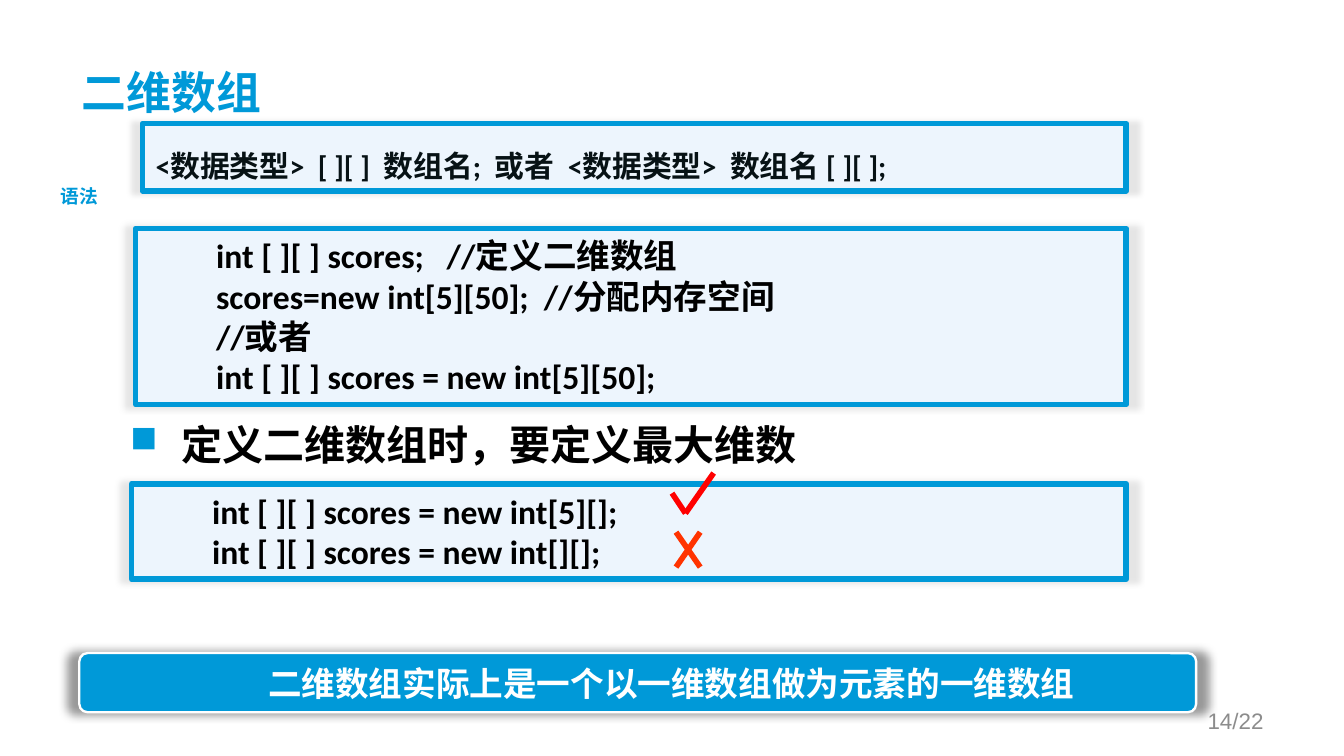
from lxml import etree
from pptx import Presentation
from pptx.dml.color import RGBColor
from pptx.enum.shapes import MSO_CONNECTOR, MSO_SHAPE
from pptx.enum.text import MSO_ANCHOR as ANCHOR, PP_ALIGN as ALIGN
from pptx.oxml import parse_xml
from pptx.oxml.ns import nsdecls, qn
from pptx.util import Inches, Pt

BLUE, PALE, BLACK, WHITE = "0099D8", "EDF5FD", "000000", "FFFFFF"
CJK = "Noto Sans CJK SC"


def color(value):
    return RGBColor.from_string(value)


def write(shape, lines, size, ink, face="Calibri", bold=True, margin=0, indent=0,
          align=ALIGN.LEFT, anchor=ANCHOR.TOP, spacing=None, bullet=None):
    """Fill a shape with paragraphs that share one format; bullet is a Wingdings character."""
    frame = shape.text_frame
    frame.word_wrap = True
    frame.vertical_anchor = anchor
    frame.text = "\n".join(lines)
    for paragraph in frame.paragraphs:
        paragraph.alignment = align
        if spacing:
            paragraph.line_spacing = spacing
        props = paragraph._p.get_or_add_pPr()
        props.set("marL", str(Inches(margin)))
        props.set("indent", str(Inches(indent)))
        if bullet:
            tint = etree.SubElement(props, qn("a:buClr"))
            etree.SubElement(tint, qn("a:srgbClr"), val=BLUE)
            etree.SubElement(props, qn("a:buSzPct"), val="90000")
            etree.SubElement(props, qn("a:buFont"), typeface="Wingdings", charset="2")
            etree.SubElement(props, qn("a:buChar"), char=bullet)
        for run in paragraph.runs:
            font = run.font
            font.size, font.bold, font.name = Pt(size), bold, face
            font.color.rgb = color(ink)
            if face == CJK:
                etree.SubElement(run._r.get_or_add_rPr(), qn("a:ea"), typeface=CJK)


prs = Presentation()
prs.slide_width = Inches(10)
prs.slide_height = prs.slide_width * 9 // 16
shapes = prs.slides.add_slide(prs.slide_layouts[6]).shapes

# Panels: place, corner, fill, outline, outline width, shadow opacity and blur, text, format
code = dict(size=18, ink=BLACK, margin=0.5)
panels = [
    ((1.06, 0.92, 7.32, 0.5), 0, PALE, BLUE, 3, 10, 3,
     ["<数据类型>  [ ][ ]  数组名;  或者  <数据类型>  数组名 [ ][ ];"],
     dict(size=16, ink="071215", spacing=1.5)),
    ((1.01, 1.7, 7.37, 1.31), 0, PALE, BLUE, 3, 10, 3,
     ["int [ ][ ] scores;   //定义二维数组",
      "scores=new int[5][50];  //分配内存空间",
      "//或者",
      "int [ ][ ] scores = new int[5][50];"], code),
    ((0.59, 4.86, 8.31, 0.44), 0.14, BLUE, WHITE, 1.25, 40, 5,
     ["二维数组实际上是一个以一维数组做为元素的一维数组"],
     dict(size=18, ink=WHITE, face=CJK, margin=0.5, align=ALIGN.CENTER, anchor=ANCHOR.MIDDLE)),
    ((0.98, 3.6, 7.4, 0.71), 0, PALE, BLUE, 3, 10, 3,
     ["int [ ][ ] scores = new int[5][];",
      "int [ ][ ] scores = new int[][];"], code),
]
for place, corner, fill, outline, width, opacity, blur, lines, style in panels:
    panel = shapes.add_shape(MSO_SHAPE.ROUNDED_RECTANGLE, *map(Inches, place))
    panel.adjustments[0] = corner
    panel.fill.solid()
    panel.fill.fore_color.rgb = color(fill)
    panel.line.color.rgb = color(outline)
    panel.line.width = Pt(width)
    panel._element.spPr.append(parse_xml(
        f'<a:effectLst {nsdecls("a")}><a:outerShdw blurRad="{Pt(blur)}" dist="0" dir="0" '
        f'sx="102000" sy="102000" algn="ctr" rotWithShape="0"><a:srgbClr val="{BLACK}">'
        f'<a:alpha val="{opacity * 1000}"/></a:srgbClr></a:outerShdw></a:effectLst>'))
    write(panel, lines, **style)

# Cross for the wrong declaration, tick for the right one
strokes = [
    ("FF3300", 5.03, 3.96, 5.21, 4.22),
    ("FF3300", 5.21, 3.96, 5.03, 4.22),
    ("FF0000", 5, 3.67, 5.1, 3.82),
    ("FF0000", 5.1, 3.82, 5.31, 3.52),
]
for ink, *ends in strokes:
    stroke = shapes.add_connector(MSO_CONNECTOR.STRAIGHT, *map(Inches, ends))
    stroke.line.color.rgb = color(ink)
    stroke.line.width = Pt(3)
    etree.SubElement(stroke._element.spPr, qn("a:effectLst"))

title = shapes.add_textbox(Inches(0.51), Inches(0.45), Inches(8.05), Inches(0.47))
write(title, ["二维数组"], 24, BLUE, margin=1, indent=-1, anchor=ANCHOR.MIDDLE)

syntax_label = shapes.add_textbox(Inches(0.35), Inches(1.33), Inches(0.48), Inches(0.27))
write(syntax_label, ["语法"], 10, BLUE, face="Arial", align=ALIGN.CENTER)
syntax_label.text_frame.word_wrap = False

rule = shapes.add_textbox(Inches(0.37), Inches(3.07), Inches(8.49), Inches(0.45))
write(rule, ["定义二维数组时，要定义最大维数"], 22, BLACK, face=CJK,
      margin=0.88, indent=-0.38, bullet="n")

page_number = shapes.add_textbox(Inches(7.17), Inches(5.21), Inches(2.33), Inches(0.3))
write(page_number, ["14/22"], 12, "8C8C8C", face="Arial", bold=False,
      align=ALIGN.RIGHT, anchor=ANCHOR.MIDDLE)

prs.save("out.pptx")
